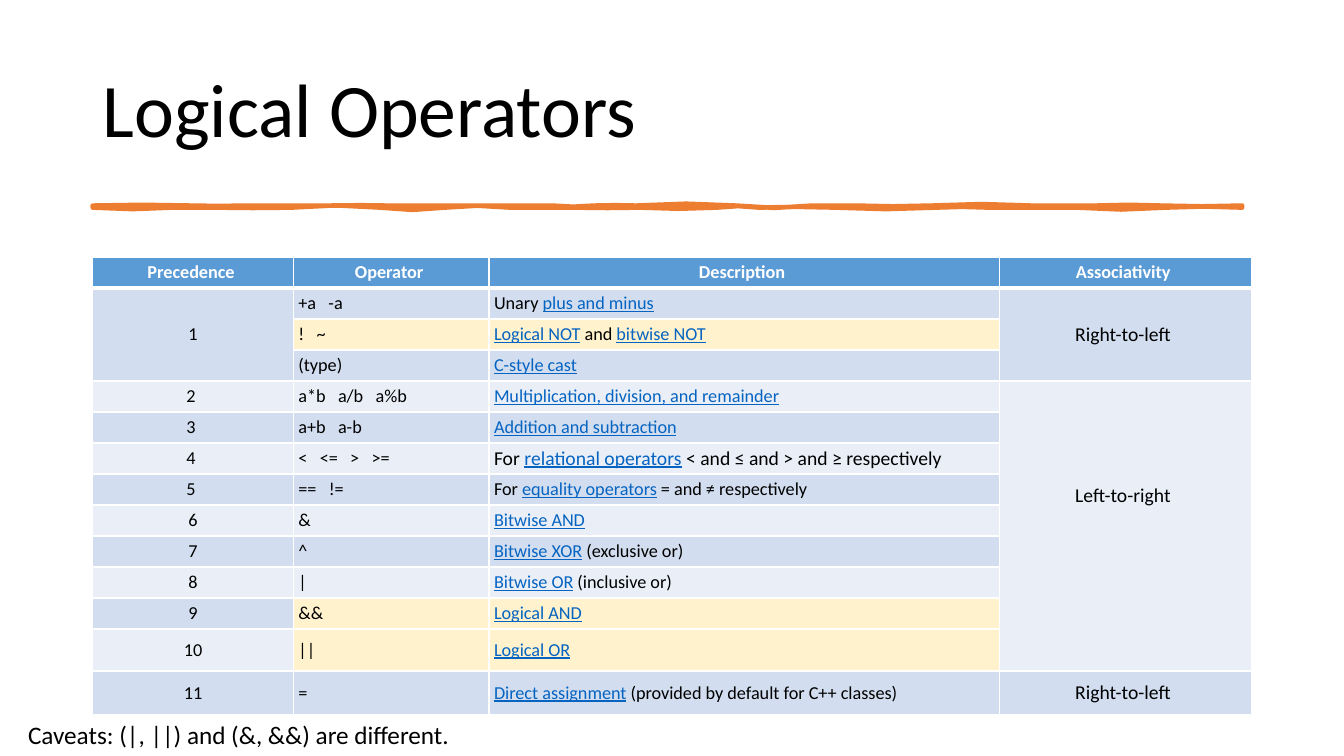
from dataclasses import dataclass

from lxml.etree import SubElement
from pptx import Presentation
from pptx.dml.color import RGBColor
from pptx.enum.text import MSO_ANCHOR, PP_ALIGN
from pptx.oxml.ns import qn
from pptx.util import Emu, Pt


@dataclass(frozen=True)
class Theme:
    font: str = "Calibri"
    ink: str = "000000"
    paper: str = "FFFFFF"
    link: str = "0563C1"
    accent: str = "ED7D31"
    header: str = "5B9BD5"
    band_dark: str = "D2DEEF"
    band_light: str = "EAEFF7"
    highlight: str = "FFF2CC"
    title_size: int = 54
    caption_size: int = 18
    cell_size: int = 13
    large_cell_size: int = 14
    rule_width: float = 3.25
    border_width: int = 1
    header_border_width: int = 3


THEME = Theme()
EMU_PER_PX = 9144  # 100 px to the inch

HEADINGS = ["Precedence ", "Operator ", "Description ", "Associativity "]
COLUMN_WIDTHS = [199, 194, 506, 250]
EVEN_ROWS_HEIGHT, LAST_ROW_HEIGHT = 400, 39
OPERATOR_GAP = "   "

# Precedence, operators, description with links between bars, fill
OPERATORS = [
    ("1", "+a -a", "Unary |plus and minus| ", THEME.band_dark),
    ("1", "! ~", "|Logical NOT| and |bitwise NOT| ", THEME.highlight),
    ("1", "(type)", "|C-style cast| ", THEME.band_dark),
    ("2 ", "a*b a/b a%b", "|Multiplication, division, and remainder| ", THEME.band_light),
    ("3 ", "a+b a-b", "|Addition and subtraction| ", THEME.band_dark),
    ("4 ", "< <= > >=", "For |relational operators| < and ≤ and > and ≥ respectively",
     THEME.band_light),
    ("5 ", "== !=", "For |equality operators| = and ≠ respectively", THEME.band_dark),
    ("6", "&", "|Bitwise AND| ", THEME.band_light),
    ("7", "^", "|Bitwise XOR| (exclusive or)", THEME.band_dark),
    ("8", "|", "|Bitwise OR| (inclusive or)", THEME.band_light),
    ("9", "&&", "|Logical AND| ", THEME.highlight),
    ("10", "||", "|Logical OR| ", THEME.highlight),
    ("11", "=", "|Direct assignment| (provided by default for C++ classes)",
     THEME.band_dark),
]

# First row, last row, text, fill, insets at side, top and bottom
ASSOCIATIVITY = [
    (1, 3, "Right-to-left ", THEME.band_dark, (21, 11, 11)),
    (4, 12, "Left-to-right ", THEME.band_light, (13, 6, 66)),
    (13, 13, "Right-to-left ", THEME.band_dark, (19, 10, 10)),
]

# Brush edges: end x and the heights of the two control points of each curve
RULE_LEFT, RULE_RIGHT, RULE_TOP, RULE_BOTTOM = 92, 1232, 204, 206
UPPER_EDGE = [
    (190, 204, 202), (244, 206, 203), (331, 205, 203), (384, 205, 202),
    (460, 205, 203), (548, 205, 203), (589, 205, 206), (631, 202, 205),
    (730, 203, 200), (806, 208, 206), (848, 202, 206), (924, 202, 208),
    (1023, 200, 204), (1087, 204, 204), (1152, 204, 202), (1232, 206, 204),
]
LOWER_EDGE = [
    (1156, 206, 203), (1068, 209, 208), (981, 204, 208), (928, 204, 206),
    (829, 206, 210), (753, 202, 208), (711, 204, 204), (635, 208, 207),
    (570, 205, 208), (506, 204, 208), (441, 204, 203), (377, 209, 209),
    (289, 203, 203), (213, 209, 204), (171, 208, 204), (92, 208, 208),
]


def px(length):
    return Emu(round(length * EMU_PER_PX))


def rgb(colour):
    return RGBColor.from_string(colour)


def write(frame, text, *, size, colour=THEME.ink, bold=False, align=PP_ALIGN.LEFT,
          anchor=MSO_ANCHOR.TOP, spacing=None, links=False):
    """Write one paragraph; with links on, parts between bars look like links."""
    frame.word_wrap = True
    frame.vertical_anchor = anchor
    paragraph = frame.paragraphs[0]
    paragraph.alignment = align
    paragraph.line_spacing = spacing
    for index, part in enumerate(text.split("|") if links else [text]):
        if not part:
            continue
        linked = index % 2 == 1
        run = paragraph.add_run()
        run.text = part
        run.font.name = THEME.font
        run.font.size = Pt(size)
        run.font.bold = bold
        run.font.underline = linked
        run.font.color.rgb = rgb(THEME.link if linked else colour)


def add_label(slide, box, text, **style):
    label = slide.shapes.add_textbox(*map(px, box))
    write(label.text_frame, text, **style)


def edge_points(start, level, curves):
    """Give the middle and the end of each curve along one edge."""
    for end, first, second in curves:
        yield px((start + end) / 2), px((2 * level + 3 * first + 3 * second) / 8)
        yield px(end), px(level)
        start = end


def add_brush_rule(slide):
    outline = slide.shapes.build_freeform(px(RULE_LEFT), px(RULE_TOP))
    upper = list(edge_points(RULE_LEFT, RULE_TOP, UPPER_EDGE))
    lower = list(edge_points(RULE_RIGHT, RULE_BOTTOM, LOWER_EDGE))
    corner = (px(RULE_RIGHT), px(RULE_BOTTOM))
    outline.add_line_segments(upper + [corner] + lower, close=True)
    brush = outline.convert_to_shape()
    brush.shadow.inherit = False
    brush.fill.solid()
    brush.fill.fore_color.rgb = rgb(THEME.accent)
    brush.line.color.rgb = rgb(THEME.accent)
    brush.line.width = Pt(THEME.rule_width)


def style_cell(cell, fill, row):
    # Borders go before the fill in the cell properties
    properties = cell._tc.get_or_add_tcPr()
    heavy_side = {0: "B", 1: "T"}.get(row)
    for side in "LRTB":
        width = THEME.header_border_width if side == heavy_side else THEME.border_width
        border = SubElement(properties, qn(f"a:ln{side}"), w=str(Pt(width)))
        paint = SubElement(border, qn("a:solidFill"))
        SubElement(paint, qn("a:srgbClr"), val=THEME.paper)
    cell.fill.solid()
    cell.fill.fore_color.rgb = rgb(fill)


def fill_cell(cell, text, insets=(5, 2, 2), size=THEME.cell_size, **style):
    side, top, bottom = map(px, insets)
    cell.margin_left = cell.margin_right = side
    cell.margin_top, cell.margin_bottom = top, bottom
    write(cell.text_frame, text, size=size, **style)
    cell.vertical_anchor = MSO_ANCHOR.MIDDLE


def add_operator_table(slide):
    even_rows = len(OPERATORS)
    table = slide.shapes.add_table(
        even_rows + 1, len(HEADINGS), px(92), px(255), px(sum(COLUMN_WIDTHS)),
        px(EVEN_ROWS_HEIGHT + LAST_ROW_HEIGHT)).table
    for column, width in zip(table.columns, COLUMN_WIDTHS):
        column.width = px(width)
    for row in table.rows:
        row.height = px(EVEN_ROWS_HEIGHT / even_rows)
    table.rows[even_rows].height = px(LAST_ROW_HEIGHT)

    # Header
    for column, heading in enumerate(HEADINGS):
        cell = table.cell(0, column)
        style_cell(cell, THEME.header, 0)
        fill_cell(cell, heading, colour=THEME.paper, bold=True, align=PP_ALIGN.CENTER)

    # Operators
    for row, (precedence, symbols, description, fill) in enumerate(OPERATORS, 1):
        level = int(precedence)
        band = THEME.band_dark if level % 2 else THEME.band_light
        for column, colour in enumerate([band, fill, fill]):
            style_cell(table.cell(row, column), colour, row)
        if row == 1 or level > 1:
            insets = {1: (21, 11, 11), 10: (19, 10, 10), 11: (19, 10, 10)}
            fill_cell(table.cell(row, 0), precedence, insets.get(level, (5, 2, 2)),
                      align=PP_ALIGN.CENTER)
        fill_cell(table.cell(row, 1), OPERATOR_GAP.join(symbols.split()))
        size = THEME.large_cell_size if level == 4 else THEME.cell_size
        fill_cell(table.cell(row, 2), description, size=size, links=True)
    table.cell(1, 0).merge(table.cell(3, 0))

    # Associativity
    for first, last, direction, fill, insets in ASSOCIATIVITY:
        for row in range(first, last + 1):
            style_cell(table.cell(row, 3), fill, row)
        if last > first:
            table.cell(first, 3).merge(table.cell(last, 3))
        fill_cell(table.cell(first, 3), direction, insets, THEME.large_cell_size,
                  align=PP_ALIGN.CENTER)


def main():
    presentation = Presentation()
    presentation.slide_width, presentation.slide_height = px(1333), px(750)
    slide = presentation.slides.add_slide(presentation.slide_layouts[6])
    add_label(slide, (92, 40, 1150, 145), "Logical Operators", size=THEME.title_size,
              anchor=MSO_ANCHOR.MIDDLE, spacing=0.9)
    add_brush_rule(slide)
    add_operator_table(slide)
    add_label(slide, (18, 709, 667, 40), "Caveats: (|, ||) and (&, &&) are different.",
              size=THEME.caption_size)
    presentation.save("out.pptx")


if __name__ == "__main__":
    main()
